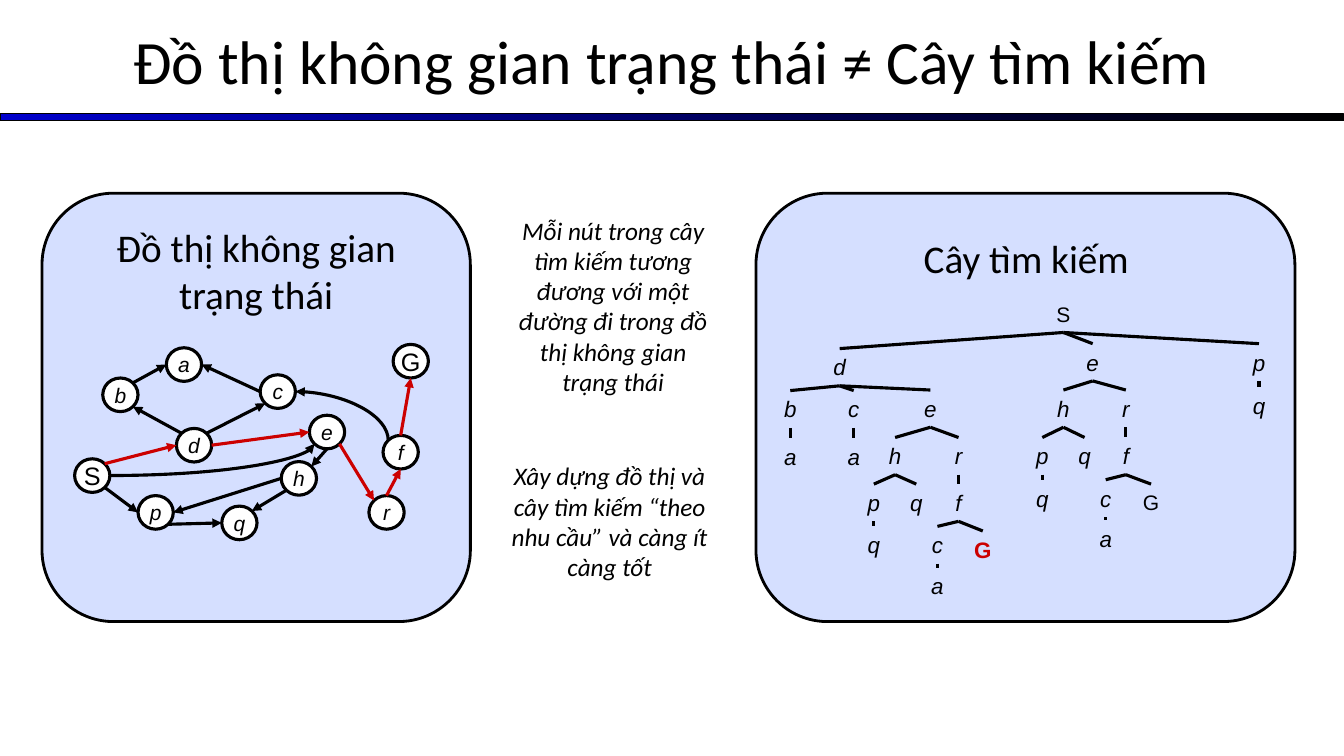
"""Builds a slide comparing a state space graph with its search tree."""
from dataclasses import dataclass
from math import cos, radians, sin

from lxml.etree import SubElement
from pptx import Presentation
from pptx.dml.color import RGBColor
from pptx.enum.shapes import MSO_CONNECTOR, MSO_SHAPE
from pptx.enum.text import MSO_ANCHOR, PP_ALIGN
from pptx.oxml.ns import qn
from pptx.util import Pt


@dataclass(frozen=True)
class Theme:
    black: RGBColor = RGBColor(0, 0, 0)
    white: RGBColor = RGBColor(255, 255, 255)
    red: RGBColor = RGBColor(0xCC, 0, 0)
    blue: RGBColor = RGBColor(0, 0, 0xCC)
    panel: RGBColor = RGBColor(0xD5, 0xDF, 0xFF)
    heading_font: str = "Calibri"
    node_font: str = "Arial"
    title: int = 44
    heading: int = 28
    note: int = 18
    terminal: int = 18
    tree_node: int = 16
    small_node: int = 15
    edge: float = 2.25


theme = Theme()


def write_text(box, text, size, font=theme.heading_font, color=theme.black,
               italic=False, bold=False, anchor=MSO_ANCHOR.TOP, wrap=True, inset=(7.2, 3.6)):
    frame = box.text_frame
    frame.word_wrap = wrap
    frame.vertical_anchor = anchor
    frame.margin_left = frame.margin_right = Pt(inset[0])
    frame.margin_top = frame.margin_bottom = Pt(inset[1])
    para = frame.paragraphs[0]
    para.alignment = PP_ALIGN.CENTER
    span = para.add_run()
    span.text = text
    span.font.name = font
    span.font.size = Pt(size)
    span.font.color.rgb = color
    span.font.italic = italic
    span.font.bold = bold


def draw_edge(start, end, color=theme.black, arrow=None, curved=False):
    kind = MSO_CONNECTOR.CURVE if curved else MSO_CONNECTOR.STRAIGHT
    edge = page.shapes.add_connector(kind, *(Pt(value) for value in (*start, *end)))
    edge.line.color.rgb = color
    edge.line.width = Pt(theme.edge)
    properties = edge._element.spPr
    if curved:
        properties.find(qn("a:prstGeom")).set("prst", "curvedConnector2")
    if arrow:
        SubElement(properties.find(qn("a:ln")), qn(f"a:{arrow}")).set("type", "triangle")
    SubElement(properties, qn("a:effectLst"))


deck = Presentation()
deck.slide_width, deck.slide_height = Pt(960), Pt(540)
page = deck.slides.add_slide(deck.slide_layouts[5])

title = page.shapes.title
title.left, title.top, title.width, title.height = Pt(0), Pt(-2), Pt(960), Pt(90)
write_text(title, "Đồ thị không gian trạng thái ≠ Cây tìm kiếm", theme.title,
           anchor=MSO_ANCHOR.MIDDLE)

rule = page.shapes.add_shape(MSO_SHAPE.RECTANGLE, Pt(0), Pt(81.3), Pt(960), Pt(5))
rule.shadow.inherit = False
rule.fill.gradient()
rule.fill.gradient_angle = 0
for stop, color in zip(rule.fill.gradient_stops, (theme.blue, theme.black)):
    stop.color.rgb = color
rule.line.color.rgb = theme.black
rule.line.width = Pt(0.75)

for left, width in ((540, 385), (30, 306)):
    panel = page.shapes.add_shape(MSO_SHAPE.ROUNDED_RECTANGLE,
                                  Pt(left), Pt(138), Pt(width), Pt(306))
    panel.shadow.inherit = False
    panel.fill.solid()
    panel.fill.fore_color.rgb = theme.panel
    panel.line.color.rgb = theme.black
    panel.line.width = Pt(2)

captions = (
    ("Đồ thị không gian trạng thái", 48, 156, 270, 75, theme.heading, False),
    ("Cây tìm kiếm", 541, 164, 384, 41, theme.heading, False),
    ("Mỗi nút trong cây tìm kiếm tương đương với một đường đi trong đồ thị không gian trạng thái",
     360, 150, 156, 138, theme.note, True),
    ("Xây dựng đồ thị và cây tìm kiếm “theo nhu cầu” và càng ít càng tốt",
     354, 325.5, 163, 94, theme.note, True),
)
for text, left, top, width, height, size, italic in captions:
    box = page.shapes.add_textbox(Pt(left), Pt(top), Pt(width), Pt(height))
    write_text(box, text, size, italic=italic)

tree_nodes = {
    "S": (759.6, 212), "Sd": (599.8, 249), "Se": (780.5, 245.5), "Sp": (899.3, 245.5),
    "Sdb": (564.5, 279), "Sdc": (609.8, 279), "Sde": (664.6, 278.6),
    "Sdba": (564.5, 313), "Sdca": (609.8, 313),
    "Sdeh": (639.4, 312.5), "Sder": (684.7, 312.5),
    "Sdehp": (624.2, 345.8), "Sdehq": (654.5, 345.8), "Sderf": (684.7, 345.8),
    "Sdehpq": (624.2, 376), "Sderfc": (669.6, 376), "SderfG": (702, 379.3),
    "Sderfca": (669.6, 405.5),
    "Seh": (759.6, 278.6), "Ser": (804.2, 278.6),
    "Sehp": (744.5, 312.5), "Sehq": (774.7, 312.5), "Serf": (804.2, 312.5),
    "Sehpq": (744.5, 342.7), "Serfc": (789.8, 342.7), "SerfG": (822.2, 345.8),
    "Serfca": (789.8, 371.7), "Spq": (899.3, 276.3),
}
goal_route = "SderfG"
for route, (center, top) in tree_nodes.items():
    label, parent = route[-1], route[:-1]
    found = route == goal_route
    plain = label in "SG"
    size = theme.small_node if plain and not found else theme.tree_node
    width = {"S": 65, "G": 50}.get(label, 25.2)
    box = page.shapes.add_textbox(Pt(center - width / 2), Pt(top), Pt(width), Pt(26.6))
    write_text(box, label, size, theme.node_font, theme.red if found else theme.black,
               italic=not plain, bold=found)
    if parent:
        parent_center, parent_top = tree_nodes[parent]
        parent_height = 25.5 if parent == "S" else 26.6
        draw_edge((parent_center, parent_top + parent_height), (center, top))

node_width, node_height = 25.2, 24
graph_nodes = {
    "S": (65.9, 339.7), "G": (293.4, 258), "d": (138.6, 318), "b": (86, 282),
    "p": (111.2, 366), "q": (171, 373.5), "c": (198.4, 279.7), "e": (233.6, 308.6),
    "h": (213.5, 341.7), "a": (131.4, 260.4), "f": (286.2, 323), "r": (276.1, 366),
}
for label, (center, middle) in graph_nodes.items():
    node = page.shapes.add_shape(
        MSO_SHAPE.FLOWCHART_CONNECTOR, Pt(center - node_width / 2),
        Pt(middle - node_height / 2), Pt(node_width), Pt(node_height))
    node.shadow.inherit = False
    node.fill.solid()
    node.fill.fore_color.rgb = theme.white
    node.line.color.rgb = theme.black
    node.line.width = Pt(theme.edge)
    plain = label in "SG"
    write_text(node, label, theme.terminal if plain else theme.small_node, theme.node_font,
               italic=not plain, anchor=MSO_ANCHOR.MIDDLE, wrap=False, inset=(0, 0))

compass = {name: radians(45 * turn)
           for turn, name in enumerate(("E", "SE", "S", "SW", "W", "NW", "N", "NE"))}
graph_edges = (
    "S SE p W", "p SE q W", "h SW q NE", "h W p E", "e S h NE", "e SE r NW", "r N f S",
    "f N G S", "S NE d W", "d NW b SE", "b NE a W", "c W a E", "d NE c SW", "d E e W",
    "c E f NW", "S E e SW",
)
curve_arrows = {"c E f NW": "headEnd", "S E e SW": "tailEnd"}
solution_steps = {a + b for a, b in zip("Sderf", "derfG")}
for edge in graph_edges:
    source, source_side, target, target_side = edge.split()
    start, end = (
        (graph_nodes[name][0] + node_width / 2 * cos(compass[side]),
         graph_nodes[name][1] + node_height / 2 * sin(compass[side]))
        for name, side in ((source, source_side), (target, target_side)))
    draw_edge(start, end, theme.red if source + target in solution_steps else theme.black,
              curve_arrows.get(edge, "tailEnd"), edge in curve_arrows)

deck.save("out.pptx")
